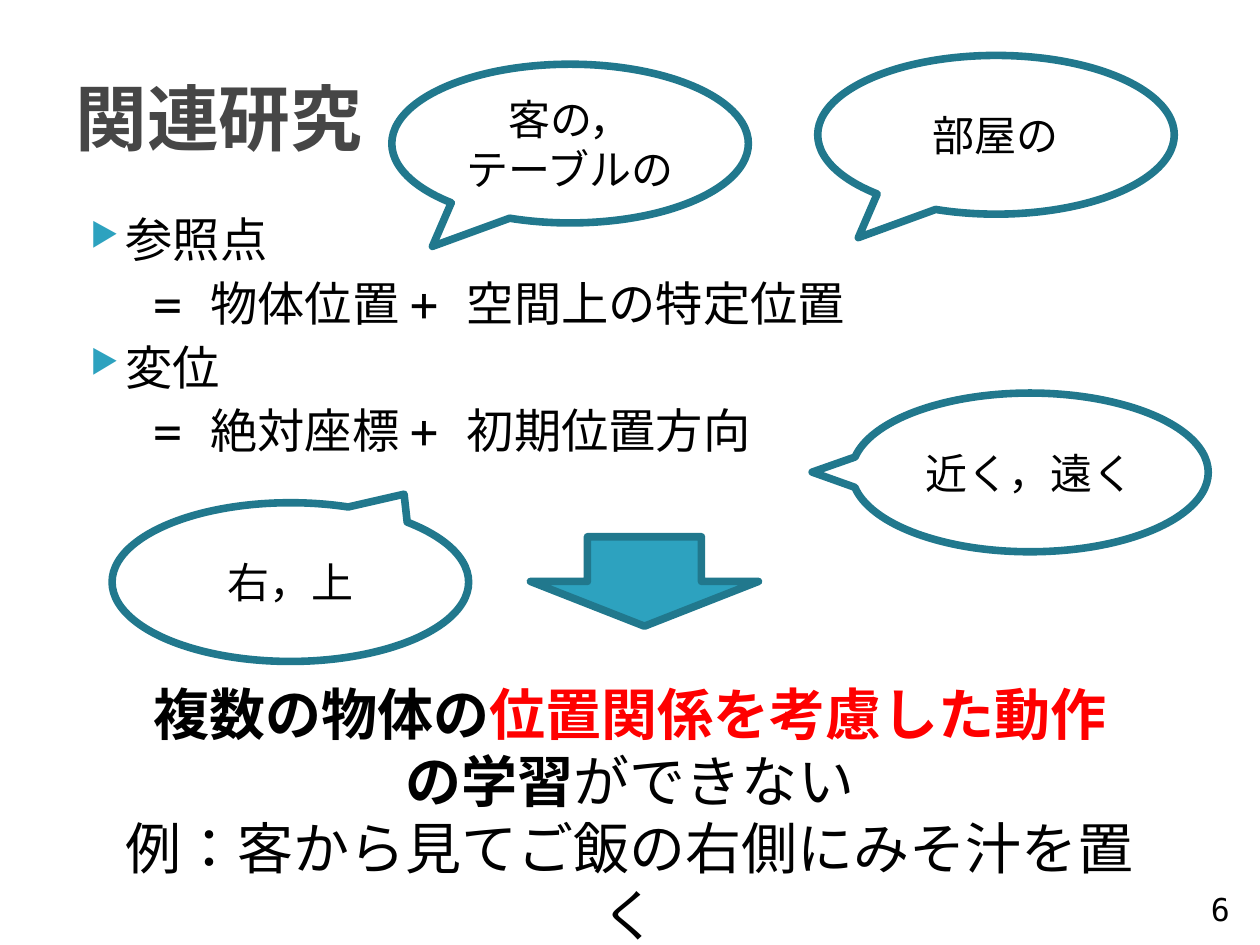
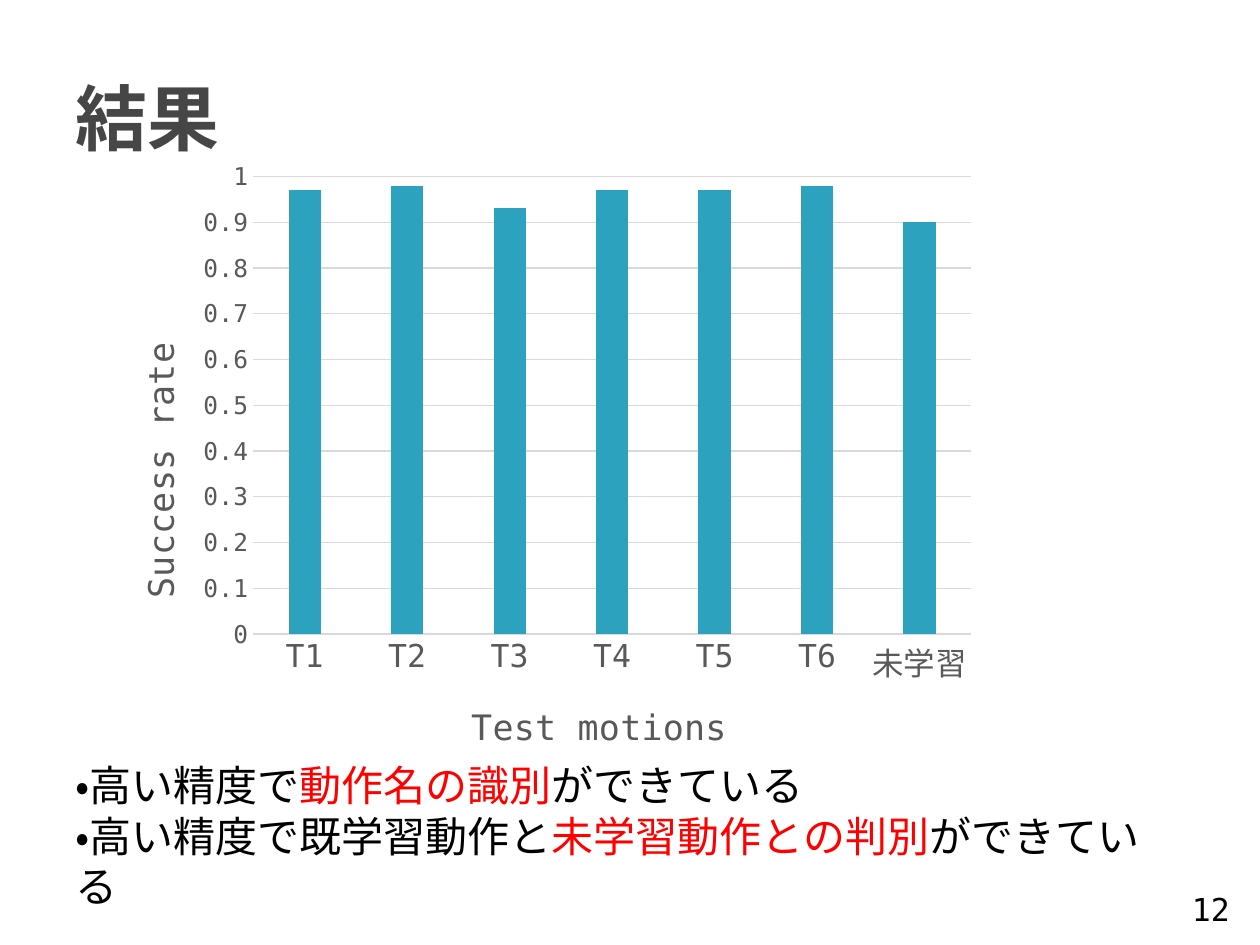
"""Build two slides on related work and results."""
from lxml import etree
from pptx import Presentation
from pptx import util as u
from pptx.chart import data
from pptx.dml import color
from pptx.enum import chart as ce, lang, shapes, text
from pptx.oxml import ns

FONT = "DejaVu Sans Mono"
C = {"accent": "2DA2BF", "edge": "21788D", "title": "464646", "text": "000000",
     "red": "FF0000", "axis": "595959", "grid": "D9D9D9"}
RGB = {name: color.RGBColor.from_string(value) for name, value in C.items()}
LEFT, CENTER, RIGHT = text.PP_ALIGN.LEFT, text.PP_ALIGN.CENTER, text.PP_ALIGN.RIGHT


def write(tf, paragraphs, size, align=LEFT):
    """Fill a text frame; each paragraph is a list of (text, colour, bold) runs."""
    tf.word_wrap = True
    for i, runs in enumerate(paragraphs):
        p = tf.paragraphs[0] if i == 0 else tf.add_paragraph()
        p.alignment = align
        for words, shade, bold in runs:
            r = p.add_run()
            r.text = words
            r.font.name, r.font.size, r.font.bold = FONT, u.Pt(size), bold
            r.font.color.rgb = RGB[shade]
            r.font.language_id = lang.MSO_LANGUAGE_ID.JAPANESE


def place(layout, **values):
    """Give a chart part a manual layout in fractions of the chart."""
    manual = etree.SubElement(layout, ns.qn("c:manualLayout"))
    for tag, value in values.items():
        etree.SubElement(manual, ns.qn("c:" + tag)).set("val", str(value))


prs = Presentation()
prs.slide_width, prs.slide_height = u.Inches(10), u.Inches(7.5)

slides = []
for title, number in [("関連研究", "6"), ("結果", "12")]:
    s = prs.slides.add_slide(prs.slide_layouts[6])
    tf = s.shapes.add_textbox(u.Inches(0.5), u.Inches(0.3), u.Inches(9), u.Inches(1.25)).text_frame
    tf.vertical_anchor = text.MSO_ANCHOR.MIDDLE
    write(tf, [[(title, "title", True)]], 41)
    tf = s.shapes.add_textbox(u.Inches(9.33), u.Inches(7.01), u.Inches(0.53), u.Inches(0.4)).text_frame
    tf.vertical_anchor = text.MSO_ANCHOR.BOTTOM
    write(tf, [[(number, "text", False)]], 18, RIGHT)
    slides.append(s)
related, results = slides

tf = related.shapes.add_textbox(u.Inches(0.5), u.Inches(1.62), u.Inches(9), u.Inches(5.28)).text_frame
terms = ["参照点", "\t= 物体位置 + 空間上の特定位置", "変位", "\t= 絶対座標 + 初期位置方向"]
write(tf, [[(term, "text", False)] for term in terms], 27)
for i, p in enumerate(tf.paragraphs):
    p.space_before = u.Pt(4)
    pPr = p._p.get_or_add_pPr()
    bulleted = i % 2 == 0
    pPr.set("marL", str(u.Inches(0.4 if bulleted else 0.12)))
    pPr.set("indent", str(u.Inches(-0.28 if bulleted else 0)))
    if bulleted:
        shade = etree.SubElement(pPr, ns.qn("a:buClr"))
        etree.SubElement(shade, ns.qn("a:srgbClr")).set("val", C["accent"])
        etree.SubElement(pPr, ns.qn("a:buSzPct")).set("val", "68000")
        etree.SubElement(pPr, ns.qn("a:buChar")).set("char", "▶")

sp = related.shapes.add_shape(shapes.MSO_SHAPE.DOWN_ARROW, u.Inches(4.21), u.Inches(4.26),
                              u.Inches(1.81), u.Inches(0.71))
sp.shadow.inherit = False
sp.fill.solid()
sp.fill.fore_color.rgb = RGB["accent"]
sp.line.color.rgb, sp.line.width = RGB["edge"], u.Pt(4.33)

callouts = [
    (3.11, 0.51, -0.386, 0.648, ["客の，", "テーブルの"]),
    (6.49, 0.44, -0.386, 0.648, ["部屋の"]),
    (0.89, 3.99, 0.319, -0.554, ["右，上"]),
    (6.76, 3.12, -0.611, -0.002, ["近く，遠く"]),
]
for x, y, tip_x, tip_y, lines in callouts:
    sp = related.shapes.add_shape(shapes.MSO_SHAPE.OVAL_CALLOUT, u.Inches(x), u.Inches(y),
                                  u.Inches(2.83), u.Inches(1.26))
    sp.adjustments[0], sp.adjustments[1] = tip_x, tip_y
    sp.shadow.inherit = False
    sp.fill.background()
    sp.line.color.rgb, sp.line.width = RGB["edge"], u.Pt(4.33)
    sp.text_frame.vertical_anchor = text.MSO_ANCHOR.MIDDLE
    write(sp.text_frame, [[(line, "text", False)] for line in lines], 24, CENTER)

tf = related.shapes.add_textbox(u.Inches(0.65), u.Inches(5.34), u.Inches(8.58), u.Inches(1.72)).text_frame
tf.auto_size = text.MSO_AUTO_SIZE.SHAPE_TO_FIT_TEXT
write(tf, [
    [("複数の物体の", "text", True), ("位置関係を考慮した動作", "red", True)],
    [("の学習", "text", True), ("ができない", "text", False)],
    [("例：客から見てご飯の右側にみそ汁を置く", "text", False)],
], 32, CENTER)
for p in tf.paragraphs:
    p._p.get_or_add_pPr().set("marL", str(u.Inches(0.12)))

tf = results.shapes.add_textbox(u.Inches(0.5), u.Inches(5.98), u.Inches(8.74), u.Inches(0.91)).text_frame
tf.auto_size = text.MSO_AUTO_SIZE.SHAPE_TO_FIT_TEXT
findings = [("・高い精度で", "動作名の識別"), ("・高い精度で既学習動作と", "未学習動作との判別")]
write(tf, [[(start, "text", False), (key, "red", False), ("ができている", "text", False)]
           for start, key in findings], 24)

cd = data.CategoryChartData()
cd.categories = ["T1", "T2", "T3", "T4", "T5", "T6", "未学習"]
cd.add_series("Series 1", [0.97, 0.98, 0.93, 0.97, 0.97, 0.98, 0.9])
chart = results.shapes.add_chart(ce.XL_CHART_TYPE.COLUMN_CLUSTERED, u.Inches(0.75), u.Inches(1.26),
                                 u.Inches(7.17), u.Inches(5.03), cd).chart
chart.has_legend = chart.has_title = False
chart.font.name, chart.font.size, chart.font.color.rgb = FONT, u.Pt(10), RGB["text"]
plot = chart.plots[0]
plot.gap_width, plot.overlap, plot.vary_by_categories = 219, -27, False
bars = plot.series[0].format.fill
bars.solid()
bars.fore_color.rgb = RGB["accent"]

cat, val = chart.category_axis, chart.value_axis
for axis, label, size, x, y in [(cat, "Test motions", 18, 0.41, 0.85),
                                (val, "Success rate", 14, 0.04, 0.28)]:
    axis.major_tick_mark = axis.minor_tick_mark = ce.XL_TICK_MARK.NONE
    font = axis.tick_labels.font
    font.name, font.size, font.color.rgb = FONT, u.Pt(size), RGB["axis"]
    write(axis.axis_title.text_frame, [[(label, "axis", False)]], 20, CENTER)
    place(axis.axis_title._element.find(ns.qn("c:layout")), xMode="edge", yMode="edge", x=x, y=y)
val.axis_title.text_frame._txBody.bodyPr.set("rot", "-5400000")
val.minimum_scale, val.maximum_scale, val.major_unit = 0, 1, 0.1
val.tick_labels.number_format, val.tick_labels.number_format_is_linked = "General", False
val.format.line.fill.background()
for line in (cat.format.line, val.major_gridlines.format.line):
    line.color.rgb, line.width = RGB["grid"], u.Pt(0.75)

area = chart._chartSpace.chart.plotArea
for old in area.findall(ns.qn("c:layout")):
    area.remove(old)
layout = etree.Element(ns.qn("c:layout"))
area.insert(0, layout)
place(layout, layoutTarget="inner", xMode="edge", yMode="edge", x=0.176, y=0.028, w=0.794, h=0.722)

prs.save("out.pptx")
